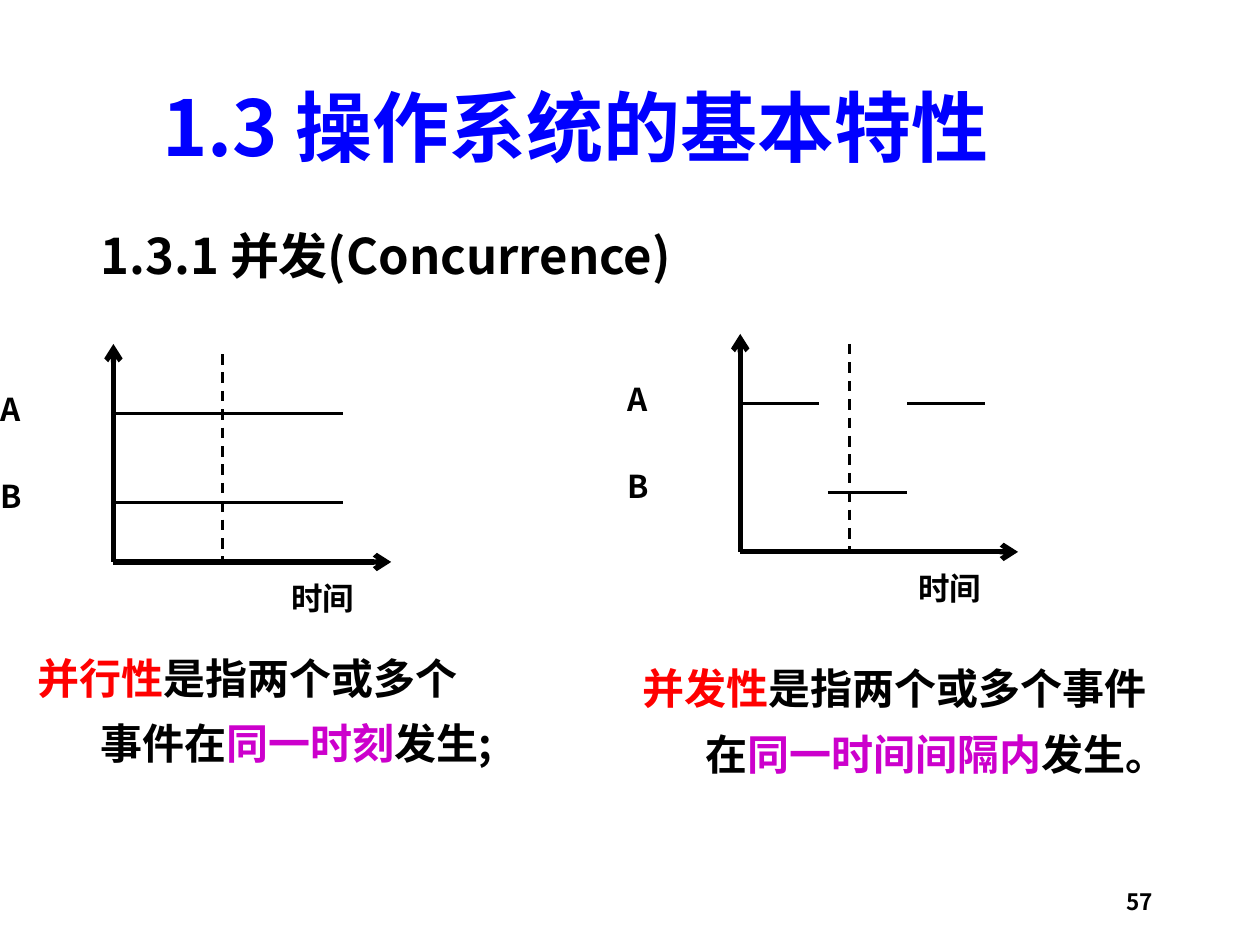
"""Build the slide that contrasts parallel and concurrent events."""
import pptx
import pptx.dml.color
import pptx.enum.dml
import pptx.enum.shapes
import pptx.enum.text
import pptx.oxml
import pptx.util
from pptx.oxml.ns import qn

RGB = pptx.dml.color.RGBColor
BLACK = RGB(0, 0, 0)
BLUE = RGB(0, 0, 255)
RED = RGB(255, 0, 0)
PURPLE = RGB(204, 0, 204)
FONT = "Noto Sans CJK SC"
WIDE, HIGH = pptx.util.Inches(10), pptx.util.Inches(7.5)
COLS, ROWS = 100, 75


def col(n):
    """Turn grid columns into a length."""
    return round(WIDE * n / COLS)


def row(n):
    """Turn grid rows into a length."""
    return round(HIGH * n / ROWS)


def style(run, size, color):
    """Set the bold face, size and colour of a run."""
    font = run.font
    font.name, font.size, font.bold = FONT, pptx.util.Pt(size), True
    font.color.rgb = color
    face = pptx.oxml.xmlchemy.OxmlElement("a:ea")
    face.set("typeface", FONT)
    font._element.find(qn("a:latin")).addnext(face)


def text(slide, place, parts, size, hang=False, right=False):
    """Add a text box whose parts are pairs of words and colour."""
    x, y, w, h = place
    frame = slide.shapes.add_textbox(col(x), row(y), col(w), row(h)).text_frame
    frame.word_wrap = True
    para = frame.paragraphs[0]
    if hang:
        props = para._p.get_or_add_pPr()
        props.set("marL", str(col(5)))
        props.set("indent", str(-col(5)))
        para.line_spacing = 1.3
    if right:
        para.alignment = pptx.enum.text.PP_ALIGN.RIGHT
    for words, color in parts:
        run = para.add_run()
        run.text = words
        style(run, size, color)


def line(slide, start, end, width=1.5, dash=False, arrow=False):
    """Add a black line, dashed or with an arrowhead at its start."""
    kind = pptx.enum.shapes.MSO_CONNECTOR.STRAIGHT
    link = slide.shapes.add_connector(
        kind, col(start[0]), row(start[1]), col(end[0]), row(end[1]))
    link.line.color.rgb = BLACK
    link.line.width = pptx.util.Pt(width)
    if dash:
        link.line.dash_style = pptx.enum.dml.MSO_LINE.DASH
    if arrow:
        head = pptx.oxml.xmlchemy.OxmlElement("a:headEnd")
        head.set("type", "arrow")
        link.line._get_or_add_ln().append(head)
    link._element.spPr.append(pptx.oxml.xmlchemy.OxmlElement("a:effectLst"))


def graph(slide, x, y, spans):
    """Add a time graph at its origin, with spans of level, start and end."""
    line(slide, (x, y - 17.3), (x, y), 3, arrow=True)
    line(slide, (x + 22.05, y), (x, y), 3, arrow=True)
    line(slide, (x + 8.65, y - 16.5), (x + 8.65, y), dash=True)
    for rise, start, end in spans:
        line(slide, (x + start, y - rise), (x + end, y - rise))
    labels = (("时间", 13.15, 0, 17), ("B", -9.95, -8.1, 13.5), ("A", -9.95, -15, 13.5))
    for words, dx, dy, w in labels:
        text(slide, (x + dx, y + dy, w, 4.9), [(words, BLACK)], 18, hang=True)


def note(slide, place, term, key, close):
    """Add a definition with its term and key phrase in colour."""
    parts = [(term, RED), ("是指两个或多个事件在", BLACK), (key, PURPLE), (close, BLACK)]
    text(slide, place, parts, 24, hang=True)


def main():
    """Build and save the slide."""
    deck = pptx.Presentation()
    deck.slide_width, deck.slide_height = WIDE, HIGH
    slide = deck.slides.add_slide(deck.slide_layouts[6])
    text(slide, (71.7, 70, 20.8, 3.3), [("57", BLACK)], 12.9, right=True)
    text(slide, (11.9, 5.8, 76.3, 8.4), [("1.3 操作系统的基本特性", BLUE)], 44)
    text(slide, (7, 17.4, 58.4, 5.7), [("1.3.1 并发(Concurrence)", BLACK)], 28)
    note(slide, (2, 50.1, 38.6, 16.6), "并行性", "同一时刻", "发生;")
    note(slide, (50, 50.9, 42.9, 16.6), "并发性", "同一时间间隔内", "发生。")
    high, low = 11.8, 4.7
    graph(slide, 9, 44.6, [(low, 0, 18.2), (high, 0, 18.2)])
    graph(slide, 58.75, 43.8, [(low, 6.95, 13.25), (high, 0, 6.25), (high, 13.25, 19.45)])
    deck.save("out.pptx")


if __name__ == "__main__":
    main()
